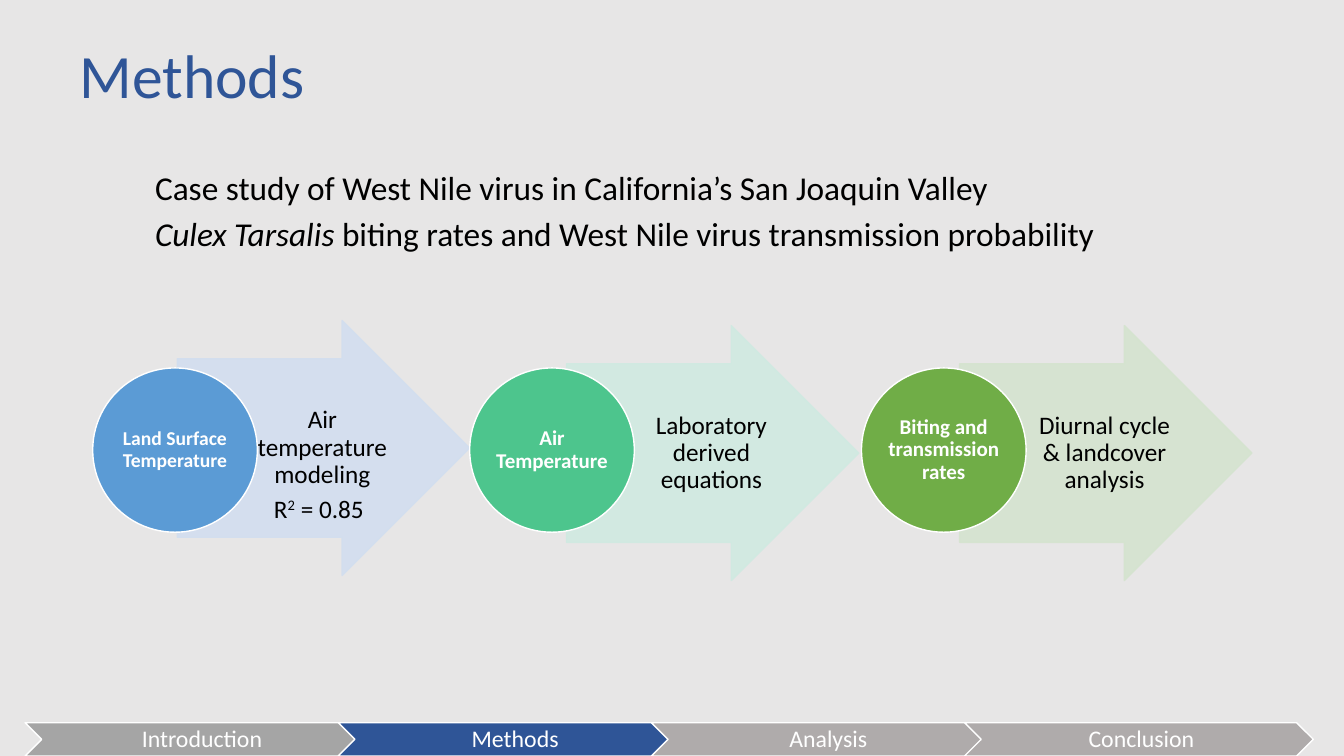
from lxml.etree import SubElement
from pptx import Presentation
from pptx.dml.color import RGBColor
from pptx.enum.shapes import MSO_SHAPE as Preset
from pptx.enum.text import MSO_ANCHOR as Anchor, PP_ALIGN as Align
from pptx.oxml.ns import qn
from pptx.util import Inches, Pt

WHITE = RGBColor(0xFF, 0xFF, 0xFF)
BLACK = RGBColor(0x00, 0x00, 0x00)
BACKGROUND = RGBColor(0xE7, 0xE6, 0xE6)
NAVY = RGBColor(0x2F, 0x55, 0x97)
GREY = RGBColor(0xA5, 0xA5, 0xA5)
WARM_GREY = RGBColor(0xAF, 0xAB, 0xAB)
BLUE = RGBColor(0x5B, 0x9B, 0xD5)
PALE_BLUE = RGBColor(0xD2, 0xDE, 0xEF)
TEAL = RGBColor(0x4D, 0xC5, 0x8D)
PALE_TEAL = RGBColor(0xD0, 0xEA, 0xE1)
GREEN = RGBColor(0x70, 0xAD, 0x47)
PALE_GREEN = RGBColor(0xD5, 0xE3, 0xCF)


def write_text(shape, *paragraphs, size=18, color=BLACK, bold=False, align=Align.LEFT,
               anchor=Anchor.MIDDLE, spacing=0.9, gap=0, insets=None, wrap=True):
    """Each paragraph is a string or a list of (text, style) runs."""
    frame = shape.text_frame
    frame.word_wrap = wrap
    frame.vertical_anchor = anchor
    if insets:
        (frame.margin_left, frame.margin_top,
         frame.margin_right, frame.margin_bottom) = map(Inches, insets)
    for index, content in enumerate(paragraphs):
        paragraph = frame.add_paragraph() if index else frame.paragraphs[0]
        paragraph.alignment = align
        paragraph.line_spacing = spacing
        paragraph.space_before = Pt(gap if index else 0)
        for text, style in [(content, "")] if isinstance(content, str) else content:
            run = paragraph.add_run()
            run.text = text
            font = run.font
            font.name, font.size, font.bold = "Calibri", Pt(size), bold
            font.color.rgb = color
            font.italic = style == "italic"
            if style == "superscript":
                font._element.set("baseline", "30000")


class MethodsSlide:
    """A slide on a grid of 100 columns by 100 rows."""

    def __init__(self):
        self.presentation = Presentation()
        self.presentation.slide_width = Inches(13.33)
        self.presentation.slide_height = Inches(7.5)
        self.slide = self.presentation.slides.add_slide(self.presentation.slide_layouts[6])
        fill = self.slide.background.fill
        fill.solid()
        fill.fore_color.rgb = BACKGROUND

    def place(self, column, row, columns, rows):
        width, height = self.presentation.slide_width, self.presentation.slide_height
        return [int(share * length / 100) for share, length in
                ((column, width), (row, height), (columns, width), (rows, height))]

    def text(self, area, *paragraphs, **style):
        box = self.slide.shapes.add_textbox(*self.place(*area))
        write_text(box, *paragraphs, **style)

    def shape(self, preset, area, color, line=WHITE, opacity=None):
        shape = self.slide.shapes.add_shape(preset, *self.place(*area))
        shape.shadow.inherit = False
        shape.fill.solid()
        shape.fill.fore_color.rgb = color
        shape.line.color.rgb = line
        shape.line.width = Pt(1)
        if opacity:
            for tint in shape._element.spPr.iter(qn("a:srgbClr")):
                SubElement(tint, qn("a:alpha")).set("val", str(opacity * 1000))
        return shape

    def chevron(self, column, label, color):
        shape = self.shape(Preset.CHEVRON, (column, 95.6, 25.95, 4.4), color)
        write_text(shape, label, size=17, color=WHITE, align=Align.CENTER,
                   insets=(0.07, 0.02, 0.02, 0.02))

    def arrow(self, column, row, label, color):
        shape = self.shape(Preset.RIGHT_ARROW, (column, row, 21.75, 33.73), color,
                           line=color, opacity=90)
        shape.adjustments[0] = 0.7
        self.text((column + 5.42, row + 5.07, 10.58, 23.6), label, align=Align.CENTER,
                  insets=(0.05, 0.01, 0.03, 0.01))

    def circle(self, column, label, color, size):
        shape = self.shape(Preset.OVAL, (column, 48.67, 12.25, 21.73), color)
        write_text(shape, label, size=size, color=WHITE, bold=True, align=Align.CENTER,
                   insets=(0.01,) * 4)


def main():
    page = MethodsSlide()

    # Section tracker along the bottom
    sections = [("Introduction", GREY), ("Methods", NAVY),
                ("Analysis", WARM_GREY), ("Conclusion", WARM_GREY)]
    for index, (label, color) in enumerate(sections):
        page.chevron(1.87 + 23.3 * index, label, color)

    # Title
    page.text((5.17, 0.67, 86.25, 19.33), "Methods", size=44, color=NAVY)

    # Process: a circle for each input, an arrow for each step
    steps = [
        (6.9, "Land Surface Temperature", BLUE, 14,
         13.2, 42.4, "Air temperature modeling", PALE_BLUE),
        (34.95, "Air Temperature", TEAL, 15,
         42.15, 43.07, "Laboratory derived equations", PALE_TEAL),
        (64.1, "Biting and transmission rates", GREEN, 15,
         71.4, 43.07, "Diurnal cycle & landcover analysis", PALE_GREEN),
    ]
    for column, source, color, size, arrow_column, row, action, pale in steps:
        page.arrow(arrow_column, row, action, pale)
        page.circle(column, source, color, size)

    # Model fit
    page.text((19.65, 64.53, 8.7, 5.33),
              [("R", ""), ("2", "superscript"), (" = 0.85", "")],
              anchor=Anchor.TOP, spacing=1.0, wrap=False)

    # Study description
    page.text((10.8, 22.53, 75, 13.2),
              "Case study of West Nile virus in California’s San Joaquin Valley",
              [("Culex Tarsalis ", "italic"),
               ("biting rates and West Nile virus transmission probability", "")],
              size=23.8, anchor=Anchor.TOP, spacing=0.8, gap=10)

    page.presentation.save("out.pptx")


if __name__ == "__main__":
    main()
